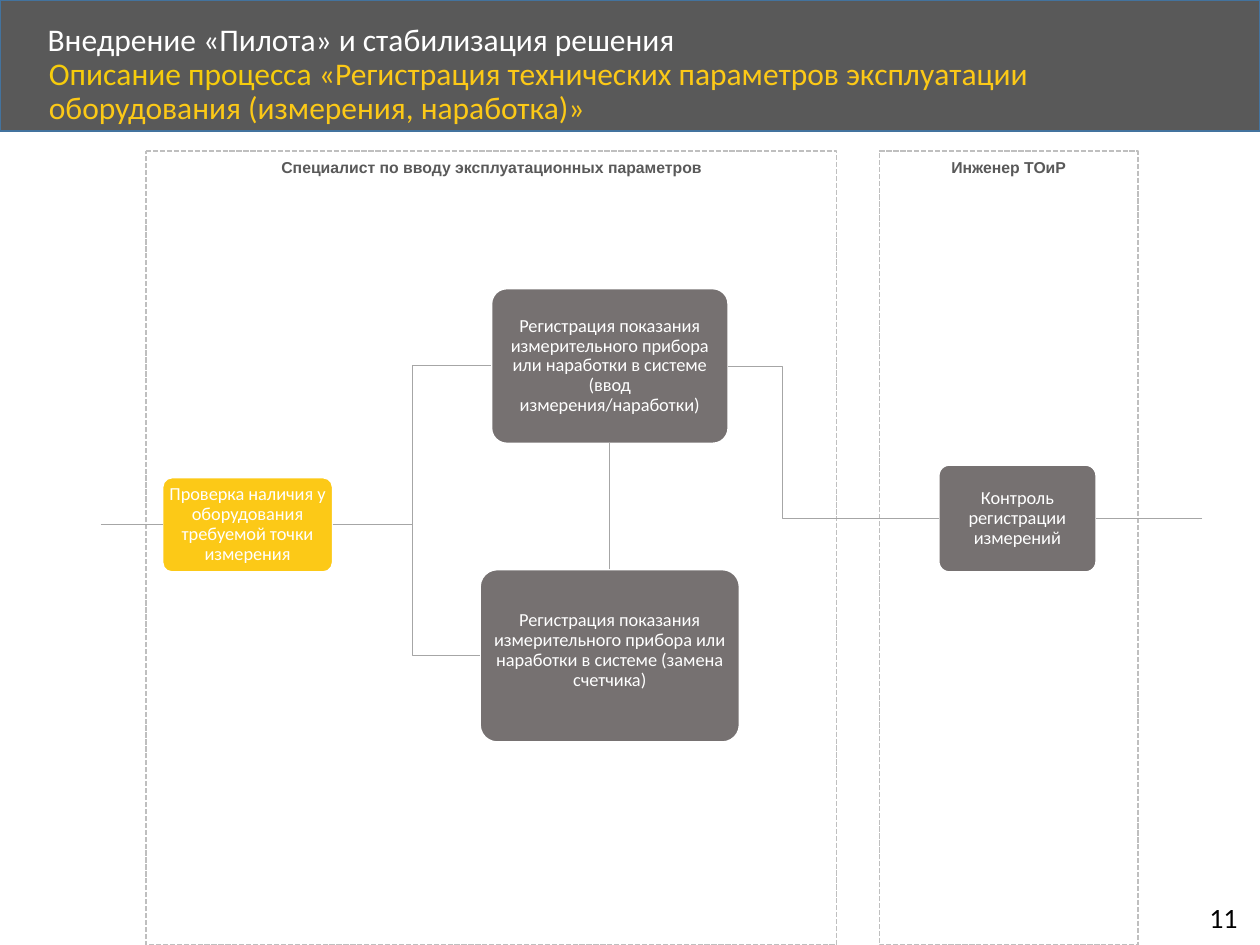
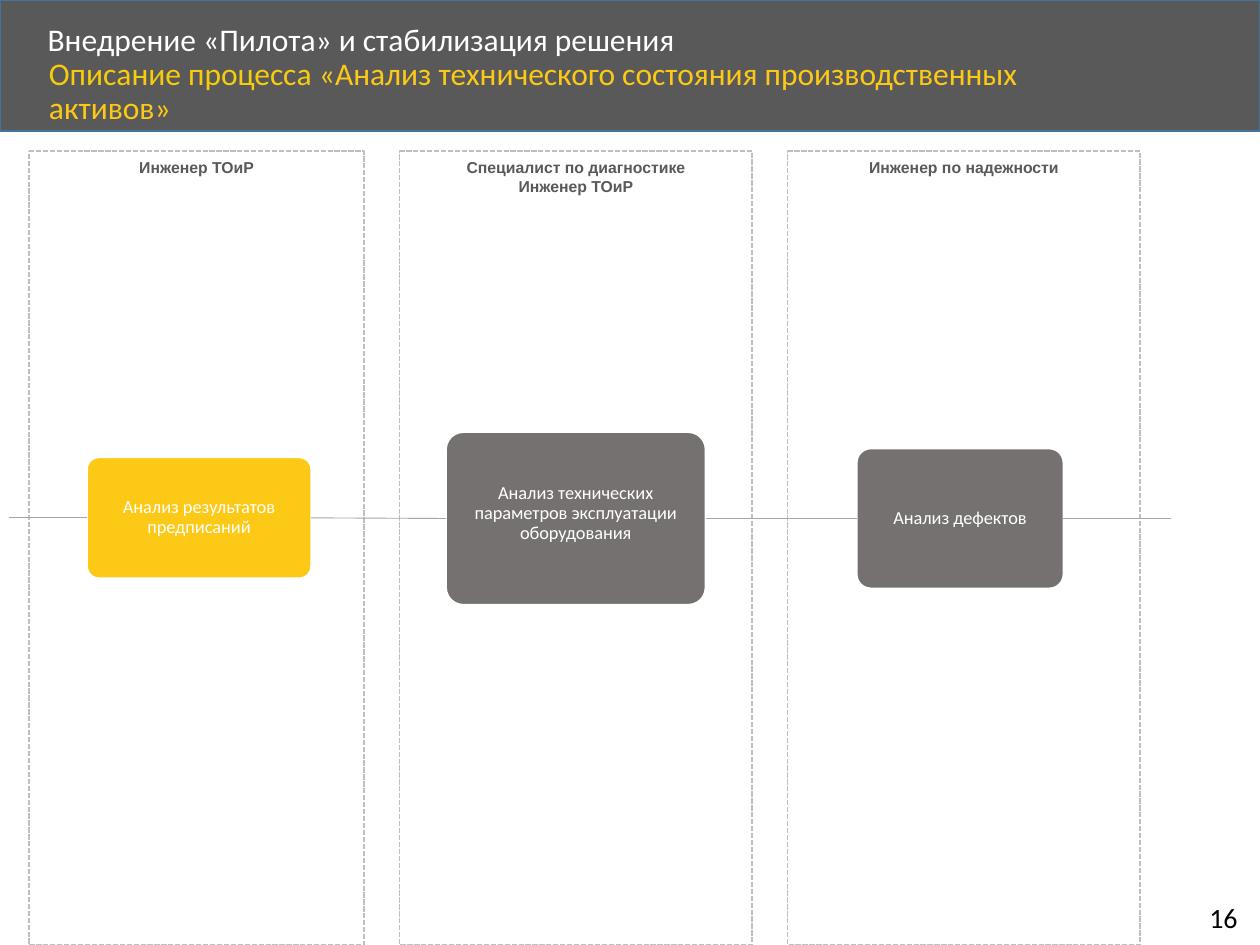
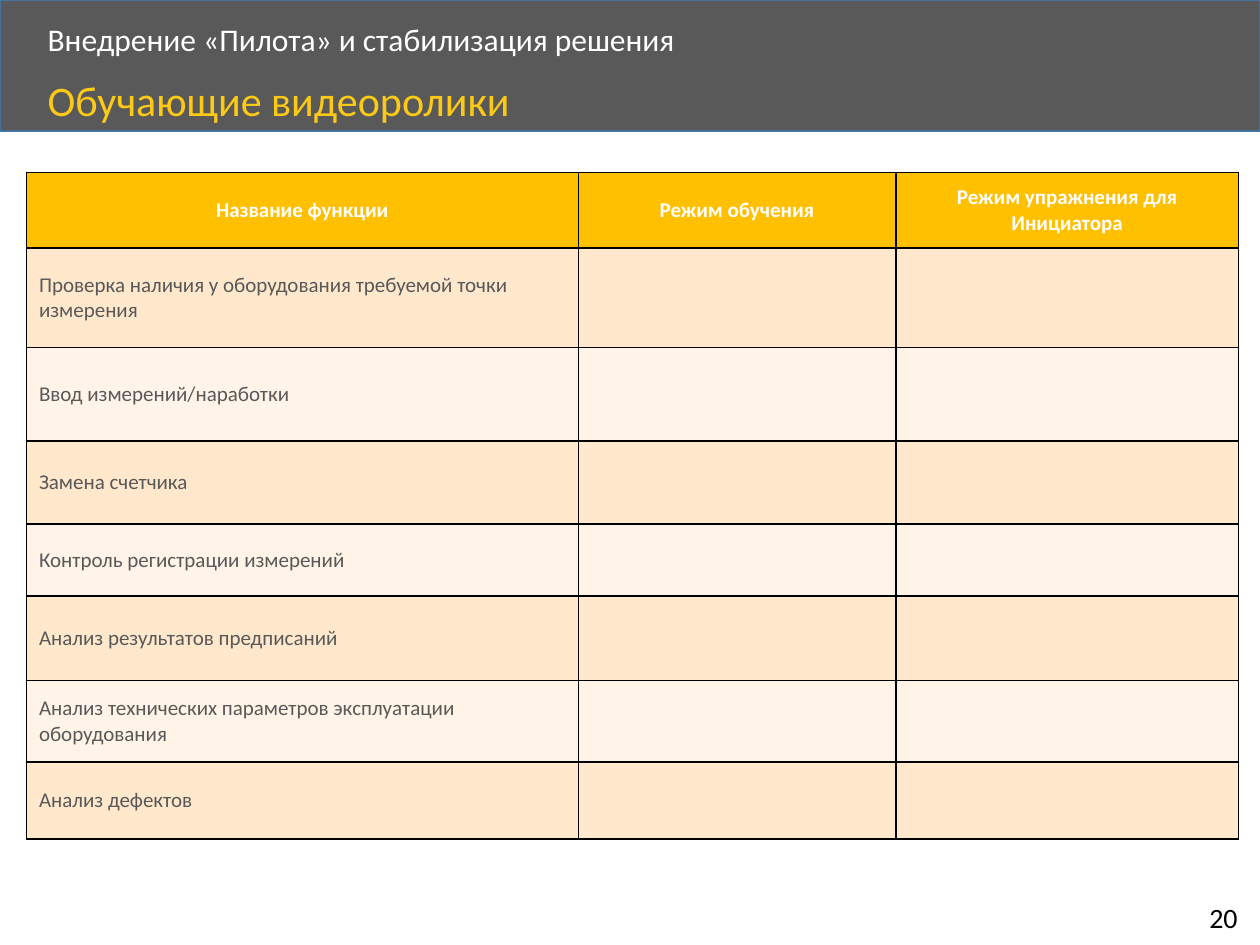
from lxml import etree
from pptx import Presentation
from pptx import util as u
from pptx.dml.color import RGBColor
from pptx.enum import dml, shapes, text
from pptx.oxml import ns

WHITE = RGBColor(0xFF, 0xFF, 0xFF)
BLACK = RGBColor(0x00, 0x00, 0x00)
DARK = RGBColor(0x59, 0x59, 0x59)
BAND_EDGE = RGBColor(0x43, 0x73, 0x9E)
YELLOW = RGBColor(0xFC, 0xC9, 0x17)
LEMON = RGBColor(0xF6, 0xCC, 0x0C)
GRAY = RGBColor(0x76, 0x71, 0x71)
LANE_EDGE = RGBColor(0xBF, 0xBF, 0xBF)
LINK = RGBColor(0xA6, 0xA6, 0xA6)
AMBER = RGBColor(0xFF, 0xC0, 0x00)
PEACH = RGBColor(0xFF, 0xE8, 0xCC)
CREAM = RGBColor(0xFF, 0xF4, 0xE7)

TOP, LEFT, BOTTOM, RIGHT = range(4)
SECTION = "Внедрение «Пилота» и стабилизация решения"
PROCESS = "Описание процесса "


def inches(box):
    return [u.Inches(value) for value in box]


def style(para, size, color, name="Calibri", bold=False, align=None, spacing=None):
    para.font.size = u.Pt(size)
    para.font.name = name
    para.font.bold = bold
    if color is not None:
        para.font.color.rgb = color
    para.alignment = align
    para.line_spacing = spacing


def add_shape(page, kind, box, fill, edge, width=1):
    shape = page.shapes.add_shape(kind, *inches(box))
    shape.shadow.inherit = False
    if fill is None:
        shape.fill.background()
    else:
        shape.fill.solid()
        shape.fill.fore_color.rgb = fill
    shape.line.color.rgb = edge
    shape.line.width = u.Pt(width)
    return shape


def add_label(page, box, spans, size, spacing=None, wrap=True, anchor=text.MSO_ANCHOR.TOP):
    frame = page.shapes.add_textbox(*inches(box)).text_frame
    frame.word_wrap = wrap
    frame.vertical_anchor = anchor
    para = frame.paragraphs[0]
    same_color = spans[0][1] if len(spans) == 1 else None
    style(para, size, same_color, spacing=spacing)
    for words, color in spans:
        span = para.add_run()
        span.text = words
        if same_color is None:
            span.font.color.rgb = color


def add_page(deck, number, title, size=18, title_at=(0.29, 0.41)):
    page = deck.slides.add_slide(deck.slide_layouts[6])
    add_shape(page, shapes.MSO_SHAPE.RECTANGLE, (0, 0, 10, 1.04), DARK, BAND_EDGE)
    add_label(page, (0.28, 0.14, 8.07, 0.38), [(SECTION, WHITE)], 18, 0.9,
              anchor=text.MSO_ANCHOR.MIDDLE)
    add_label(page, (9.5, 7.1, 0.46, 0.37), [(str(number), BLACK)], 16, wrap=False)
    add_label(page, (*title_at, 8.67, 0.45), title, size, 0.9)
    return page


def add_lane(page, left, width, role):
    lane = add_shape(page, shapes.MSO_SHAPE.ROUNDED_RECTANGLE,
                     (left, 1.2, width, 6.3), None, LANE_EDGE)
    lane.adjustments[0] = 0
    lane.line.dash_style = dml.MSO_LINE.SQUARE_DOT
    frame = lane.text_frame
    frame.vertical_anchor = text.MSO_ANCHOR.TOP
    frame.text = role
    style(frame.paragraphs[0], 9, DARK, "Arial", True, text.PP_ALIGN.CENTER)


def add_step(page, box, words, fill=GRAY, side=0.01, lift=0):
    step = add_shape(page, shapes.MSO_SHAPE.ROUNDED_RECTANGLE, box, fill, WHITE)
    step.adjustments[0] = 0.1
    frame = step.text_frame
    frame.word_wrap = True
    frame.vertical_anchor = text.MSO_ANCHOR.MIDDLE
    frame.margin_left = frame.margin_right = u.Inches(side)
    frame.margin_top = u.Inches(0.01)
    frame.margin_bottom = u.Inches(0.01 + 2 * lift)
    frame.text = words
    style(frame.paragraphs[0], 10.5, WHITE, align=text.PP_ALIGN.CENTER, spacing=0.9)
    return step


def add_line(page, kind, start=(0, 0), end=(0, 0)):
    line = page.shapes.add_connector(kind, *inches((*start, *end)))
    line.line.color.rgb = LINK
    line.line.width = u.Pt(0.5)
    etree.SubElement(line._element.spPr, ns.qn("a:effectLst"))
    return line


def link(page, source, source_side, target, target_side, bend=None):
    kind = shapes.MSO_CONNECTOR.STRAIGHT if bend is None else shapes.MSO_CONNECTOR.ELBOW
    line = add_line(page, kind)
    line.begin_connect(source, source_side)
    line.end_connect(target, target_side)
    if bend is not None:
        guides = line._element.spPr.find(".//" + ns.qn("a:avLst"))
        etree.SubElement(guides, ns.qn("a:gd"), name="adj1", fmla=f"val {round(bend * 100000)}")


def add_stub(page, step, side, x):
    middle = (step.top + step.height / 2) / u.Inches(1)
    line = add_line(page, shapes.MSO_CONNECTOR.STRAIGHT, (x, middle), (x, middle))
    line.end_connect(step, side)


def registration_slide(deck):
    page = add_page(deck, 11, [
        (PROCESS, LEMON),
        ("«Регистрация технических параметров эксплуатации оборудования "
         "(измерения, наработка)»", YELLOW)])
    check = add_step(page, (1.29, 3.79, 1.35, 0.75),
                     "Проверка наличия у оборудования требуемой точки измерения", YELLOW)
    reading = "Регистрация показания измерительного прибора или наработки в системе "
    entry = add_step(page, (3.9, 2.29, 1.88, 1.23),
                     reading + "(ввод измерения/наработки)", side=0.08)
    swap = add_step(page, (3.81, 4.52, 2.06, 1.37), reading + "(замена счетчика)", lift=0.04)
    control = add_step(page, (7.45, 3.69, 1.25, 0.85), "Контроль регистрации измерений")
    add_lane(page, 1.16, 5.48, "Специалист по вводу эксплуатационных параметров")
    add_lane(page, 6.98, 2.05, "Инженер ТОиР")
    add_stub(page, check, LEFT, 0.8)
    add_stub(page, control, RIGHT, 9.54)
    link(page, check, RIGHT, entry, LEFT, 0.5)
    link(page, check, RIGHT, swap, LEFT, 0.54)
    link(page, entry, RIGHT, control, LEFT, 0.26)
    link(page, swap, TOP, entry, BOTTOM)


def analysis_slide(deck):
    page = add_page(deck, 16, [
        (PROCESS, LEMON),
        ("«Анализ технического состояния производственных активов»", YELLOW)])
    orders = add_step(page, (0.69, 3.63, 1.78, 0.96), "Анализ результатов предписаний", YELLOW)
    parameters = add_step(page, (3.54, 3.43, 2.06, 1.37),
                          "Анализ технических параметров эксплуатации оборудования", lift=0.04)
    defects = add_step(page, (6.8, 3.56, 1.64, 1.11), "Анализ дефектов")
    add_lane(page, 0.23, 2.66, "Инженер ТОиР")
    add_lane(page, 3.17, 2.8, "Специалист по диагностике\vИнженер ТОиР")
    add_lane(page, 6.25, 2.8, "Инженер по надежности")
    add_stub(page, orders, LEFT, 0.07)
    add_stub(page, defects, RIGHT, 9.29)
    link(page, orders, RIGHT, parameters, LEFT)
    link(page, parameters, RIGHT, defects, LEFT)


def fill_cell(cell, words, fill, color, bold, align):
    properties = cell._tc.get_or_add_tcPr()
    for edge in ("lnL", "lnR", "lnT", "lnB"):
        border = etree.SubElement(properties, ns.qn(f"a:{edge}"), w=str(u.Pt(1)))
        paint = etree.SubElement(border, ns.qn("a:solidFill"))
        etree.SubElement(paint, ns.qn("a:srgbClr"), val=str(BLACK))
    cell.fill.solid()
    cell.fill.fore_color.rgb = fill
    cell.vertical_anchor = text.MSO_ANCHOR.MIDDLE
    cell.text = words
    style(cell.text_frame.paragraphs[0], 12, color, bold=bold, align=align)


def add_video_table(page, box):
    heads = ("Название функции", "Режим обучения", "Режим упражнения для Инициатора")
    functions = (
        "Проверка наличия у оборудования требуемой точки измерения",
        "Ввод измерений/наработки",
        "Замена счетчика",
        "Контроль регистрации измерений",
        "Анализ результатов предписаний",
        "Анализ технических параметров эксплуатации оборудования",
        "Анализ дефектов",
    )
    table = page.shapes.add_table(len(functions) + 1, len(heads), *inches(box)).table
    for column, width in zip(table.columns, (4.38, 2.52, 2.72)):
        column.width = u.Inches(width)
    for row, height in zip(table.rows, (0.6, 0.79, 0.74, 0.66, 0.57, 0.67, 0.65, 0.61)):
        row.height = u.Inches(height)
    for column, head in enumerate(heads):
        fill_cell(table.cell(0, column), head, AMBER, WHITE, True, text.PP_ALIGN.CENTER)
    for row, function in enumerate(functions, 1):
        for column, words in enumerate((function, "", "")):
            fill_cell(table.cell(row, column), words, PEACH if row % 2 else CREAM,
                      DARK, False, text.PP_ALIGN.LEFT)


def videos_slide(deck):
    page = add_page(deck, 20, [("Обучающие видеоролики", YELLOW)], 24, (0.28, 0.59))
    add_video_table(page, (0.21, 1.37, 9.63, 5.27))


def main():
    deck = Presentation()
    deck.slide_width, deck.slide_height = u.Inches(10), u.Inches(7.5)
    registration_slide(deck)
    analysis_slide(deck)
    videos_slide(deck)
    deck.save("out.pptx")


if __name__ == "__main__":
    main()
